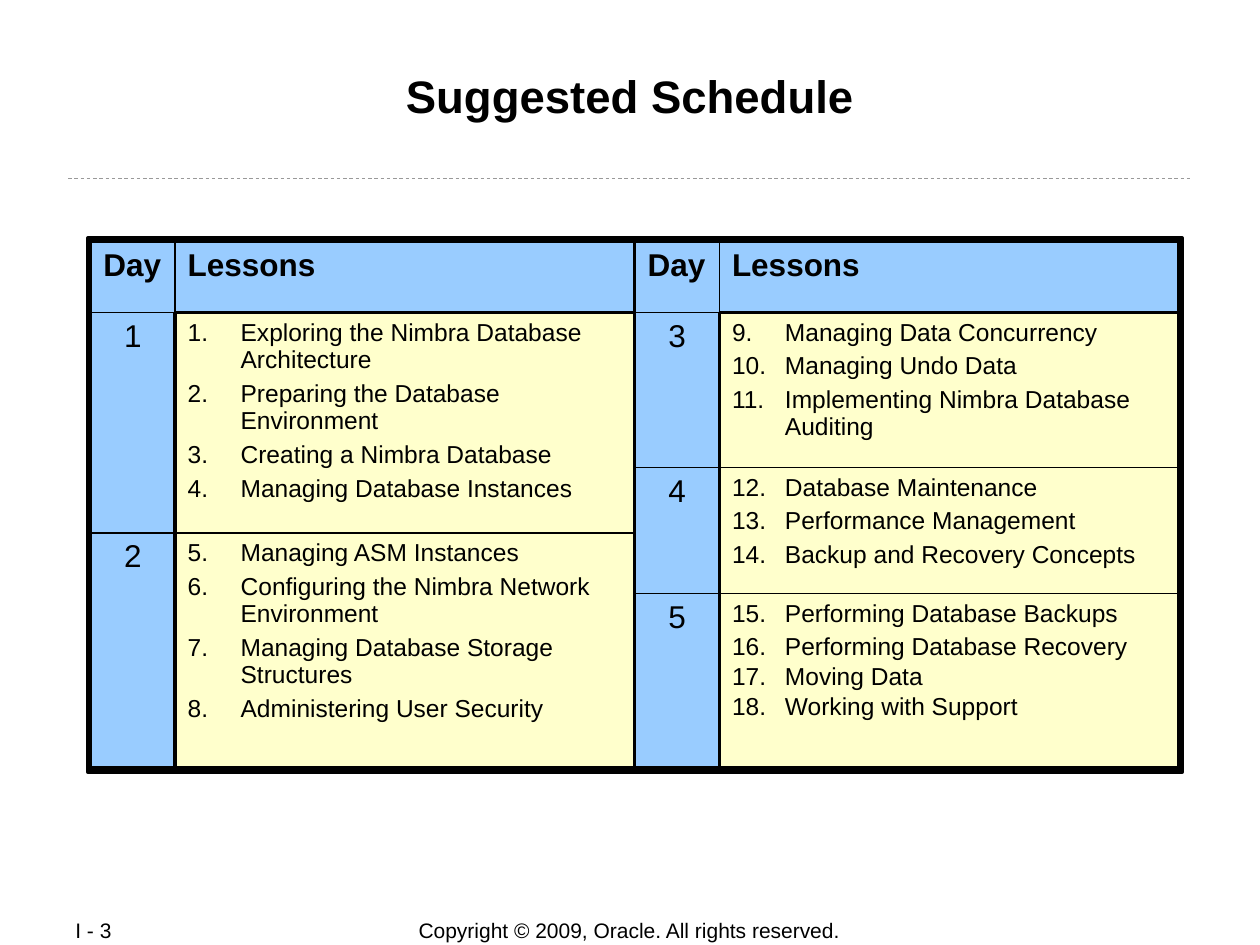
import pptx
import pptx.util
import pptx.dml.color
import pptx.enum.dml
import pptx.enum.shapes
import pptx.enum.text
import pptx.oxml
import pptx.oxml.ns
import lxml.etree

Inches, Pt = pptx.util.Inches, pptx.util.Pt
RGB = pptx.dml.color.RGBColor.from_string
Align = pptx.enum.text.PP_ALIGN
Anchor = pptx.enum.text.MSO_ANCHOR
qn = pptx.oxml.ns.qn


class Theme:
    face = "Arial"
    ink, rule, head, body = "000000", "999999", "99CCFF", "FFFFCC"
    title, label, item, foot = 26, 18, 14, 12
    thin, thick = 1.08, 2.21


def style(para, size, bold=False, align=Align.LEFT):
    para.alignment = align
    para.font.name = Theme.face
    para.font.size = Pt(size)
    para.font.bold = bold
    para.font.color.rgb = RGB(Theme.ink)


def paint(cell, color, **wide):
    """Fill a cell and draw its four borders; sides named in wide are thick."""
    props = cell._tc.get_or_add_tcPr()
    for side in "LRTB":
        width = Theme.thick if wide.get(side) else Theme.thin
        edge = lxml.etree.SubElement(props, qn(f"a:ln{side}"), w=str(Pt(width)))
        fill = lxml.etree.SubElement(edge, qn("a:solidFill"))
        lxml.etree.SubElement(fill, qn("a:srgbClr"), val=Theme.ink)
    cell.fill.solid()
    cell.fill.fore_color.rgb = RGB(color)


deck = pptx.Presentation()
deck.slide_width, deck.slide_height = Inches(10), Inches(7.5)
slide = deck.slides.add_slide(deck.slide_layouts[5])
shapes = slide.shapes

# Title
title = shapes.title
title.left, title.top = Inches(0.67), Inches(0.48)
title.width, title.height = Inches(8.66), Inches(0.96)
frame = title.text_frame
frame.text = "Suggested Schedule"
frame.auto_size = pptx.enum.text.MSO_AUTO_SIZE.NONE
frame.vertical_anchor = Anchor.TOP
frame.margin_left = frame.margin_right = frame.margin_bottom = Inches(0.01)
frame.margin_top = Inches(0.06)
style(frame.paragraphs[0], Theme.title, True, Align.CENTER)

# Dashed rule under the title
rule = shapes.add_connector(
    pptx.enum.shapes.MSO_CONNECTOR.STRAIGHT,
    Inches(0.54), Inches(1.42), Inches(9.46), Inches(1.42))
rule.line.color.rgb = RGB(Theme.rule)
rule.line.width = Pt(0.5)
rule.line.dash_style = pptx.enum.dml.MSO_LINE.DASH
lxml.etree.SubElement(rule._element.spPr, qn("a:effectLst"))

# Footer: page number and copyright
for text, left, top, width, height, align in (
        ("I - 3", 0.5, 7.28, 1.06, 0.2, Align.LEFT),
        ("Copyright © 2009, Oracle. All rights reserved.",
         2.75, 7.28, 4.49, 0.21, Align.CENTER)):
    box = shapes.add_textbox(
        Inches(left), Inches(top), Inches(width), Inches(height))
    frame = box.text_frame
    frame.text = text
    frame.word_wrap = True
    frame.vertical_anchor = Anchor.MIDDLE
    style(frame.paragraphs[0], Theme.foot, align=align)

# Black frame behind both tables
back = shapes.add_shape(
    pptx.enum.shapes.MSO_SHAPE.RECTANGLE,
    Inches(0.7), Inches(1.89), Inches(8.68), Inches(4.24))
back.shadow.inherit = False
back.fill.solid()
back.fill.fore_color.rgb = RGB(Theme.ink)
back.line.color.rgb = RGB(Theme.ink)
back.line.width = Pt(2.25)

# Each half: left edge, then days as (row height, lessons)
halves = (
    (0.72, (
        (1.75, ("Exploring the Nimbra Database Architecture",
                "Preparing the Database Environment",
                "Creating an Nimbra Database".replace("an ", "a "),
                "Managing Database Instances")),
        (1.86, ("Managing ASM Instances",
                "Configuring the Nimbra Network Environment",
                "Managing Database Storage Structures",
                "Administering User Security")))),
    (5.04, (
        (1.23, ("Managing Data Concurrency",
                "Managing Undo Data",
                "Implementing Nimbra Database Auditing")),
        (1, ("Database Maintenance",
             "Performance Management",
             "Backup and Recovery Concepts")),
        (1.38, ("Performing Database Backups",
                "Performing Database Recovery",
                "Moving Data",
                "Working with Support")))),
)
tight = ("Moving Data", "Working with Support")

day, start = 1, 1
for left, days in halves:
    table = shapes.add_table(
        len(days) + 1, 2, Inches(left), Inches(1.92),
        Inches(4.31), Inches(4.17)).table
    table.first_row = table.horz_banding = False
    table.columns[0].width, table.columns[1].width = Inches(0.67), Inches(3.64)

    # Header row
    table.rows[0].height = Inches(0.56)
    for col, text in enumerate(("Day", "Lessons")):
        cell = table.cell(0, col)
        cell.text = text
        style(cell.text_frame.paragraphs[0], Theme.label, True)
        paint(cell, Theme.head, B=col == 1)

    # Day rows with numbered lessons
    for row, (height, lessons) in enumerate(days, 1):
        table.rows[row].height = Inches(height)
        cell = table.cell(row, 0)
        cell.text = str(day)
        style(cell.text_frame.paragraphs[0], Theme.label, align=Align.CENTER)
        paint(cell, Theme.head, R=True)

        cell = table.cell(row, 1)
        cell.text = "\n".join(lessons)
        for num, para in enumerate(cell.text_frame.paragraphs):
            props = para._p.get_or_add_pPr()
            props.set("marL", str(Inches(0.42)))
            props.set("indent", str(-Inches(0.42)))
            lxml.etree.SubElement(
                props, qn("a:buAutoNum"), type="arabicPeriod", startAt=str(start))
            style(para, Theme.item)
            if num:
                para.space_before = Pt(3.5)
            if para.text in tight:
                para.line_spacing = 0.85
        paint(cell, Theme.body, L=True, T=row == 1)
        day += 1
        start += len(lessons)

deck.save("out.pptx")
